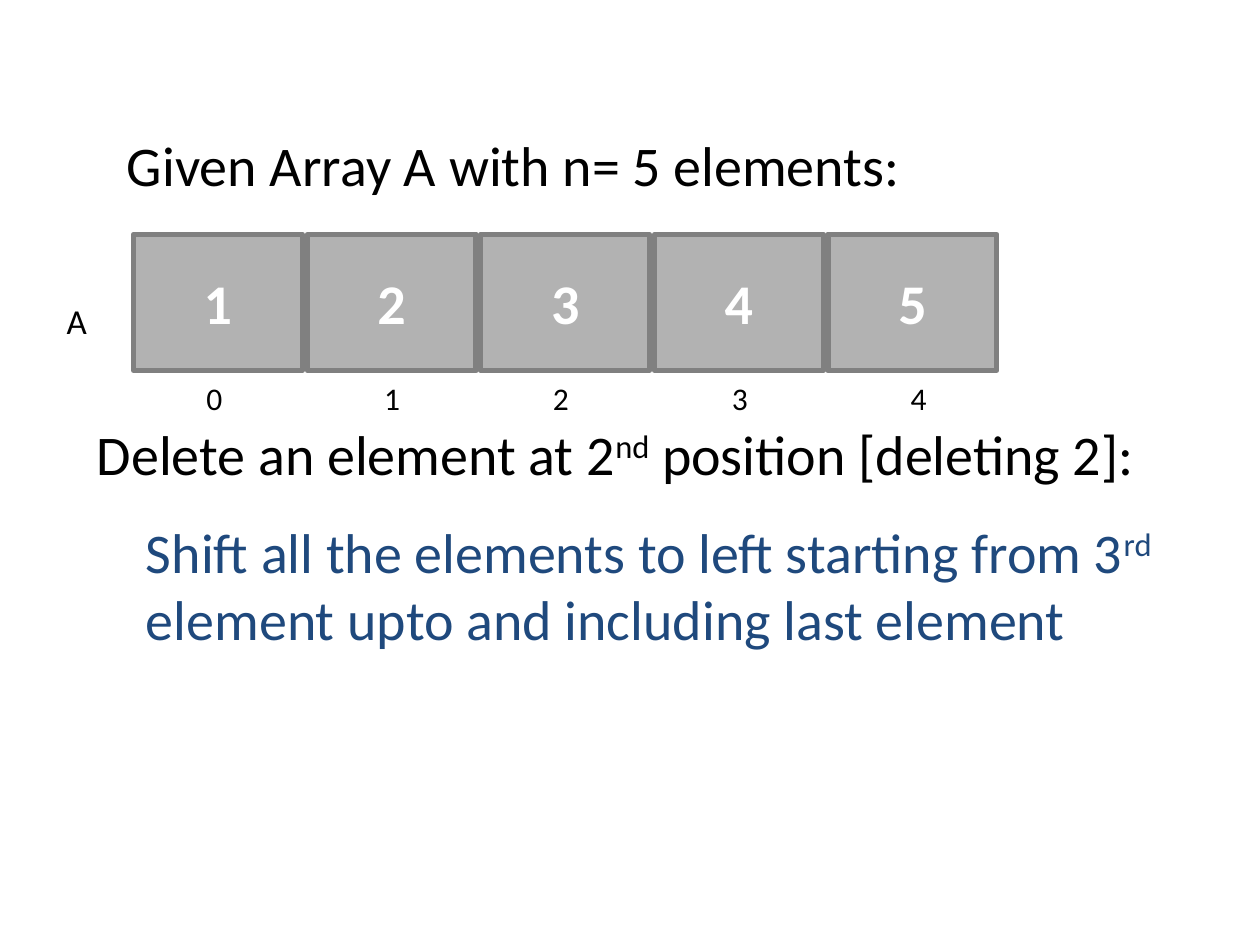
import dataclasses

import pptx
import pptx.dml.color
import pptx.enum.shapes
import pptx.enum.text
import pptx.util

Inches = pptx.util.Inches
Pt = pptx.util.Pt
RGB = pptx.dml.color.RGBColor.from_string


@dataclasses.dataclass(frozen=True)
class Theme:
    font: str = "Calibri"
    text: str = "000000"
    accent: str = "1F497D"
    cell_fill: str = "B2B2B2"
    cell_line: str = "808080"
    cell_text: str = "FFFFFF"
    body_size: int = 32
    name_size: int = 20
    index_size: int = 18
    border: int = 3


THEME = Theme()


def style(p, size, color, bold=False):
    p.font.name = THEME.font
    p.font.size = Pt(size)
    p.font.bold = bold
    p.font.color.rgb = RGB(color)


def add_text(s, box, runs, size=THEME.body_size, color=THEME.text):
    tf = s.shapes.add_textbox(*map(Inches, box)).text_frame
    tf.word_wrap = True
    tf.auto_size = pptx.enum.text.MSO_AUTO_SIZE.SHAPE_TO_FIT_TEXT
    p = tf.paragraphs[0]
    style(p, size, color)
    for i, text in enumerate(runs):
        r = p.add_run()
        r.text = text
        if i % 2:
            r._r.get_or_add_rPr().set("baseline", "30000")


def add_cell(s, left, value):
    sp = s.shapes.add_shape(
        pptx.enum.shapes.MSO_SHAPE.RECTANGLE,
        Inches(left), Inches(1.86), Inches(1.34), Inches(1.08))
    sp.shadow.inherit = False
    sp.fill.solid()
    sp.fill.fore_color.rgb = RGB(THEME.cell_fill)
    sp.line.color.rgb = RGB(THEME.cell_line)
    sp.line.width = Pt(THEME.border)
    tf = sp.text_frame
    tf.word_wrap = False
    tf.vertical_anchor = pptx.enum.text.MSO_ANCHOR.MIDDLE
    p = tf.paragraphs[0]
    p.text = str(value)
    p.alignment = pptx.enum.text.PP_ALIGN.CENTER
    style(p, THEME.body_size, THEME.cell_text, bold=True)


def add_array(s, name, values, index_lefts):
    for i, (value, index_left) in enumerate(zip(values, index_lefts)):
        add_cell(s, 1.06 + 1.378 * i, value)
        add_text(s, (index_left, 2.96, 0.47, 0.4), [str(i)], THEME.index_size)
    add_text(s, (0.43, 2.33, 0.47, 0.44), [name], THEME.name_size)


def main():
    prs = pptx.Presentation()
    prs.slide_width, prs.slide_height = Inches(10), Inches(7.5)
    s = prs.slides.add_slide(prs.slide_layouts[6])
    add_text(s, (0.91, 0.99, 7.17, 0.64), ["Given Array A with n= 5 elements:"])
    add_array(s, "A", [1, 2, 3, 4, 5], [1.54, 2.95, 4.29, 5.71, 7.13])
    add_text(s, (0.67, 3.28, 9.21, 0.64),
             ["Delete an element at 2", "nd", " position [deleting 2]:"])
    add_text(s, (1.06, 4.06, 8.19, 1.18),
             ["Shift all the elements to left starting from 3", "rd",
              " element upto and including last element"],
             color=THEME.accent)
    prs.save("out.pptx")


main()
